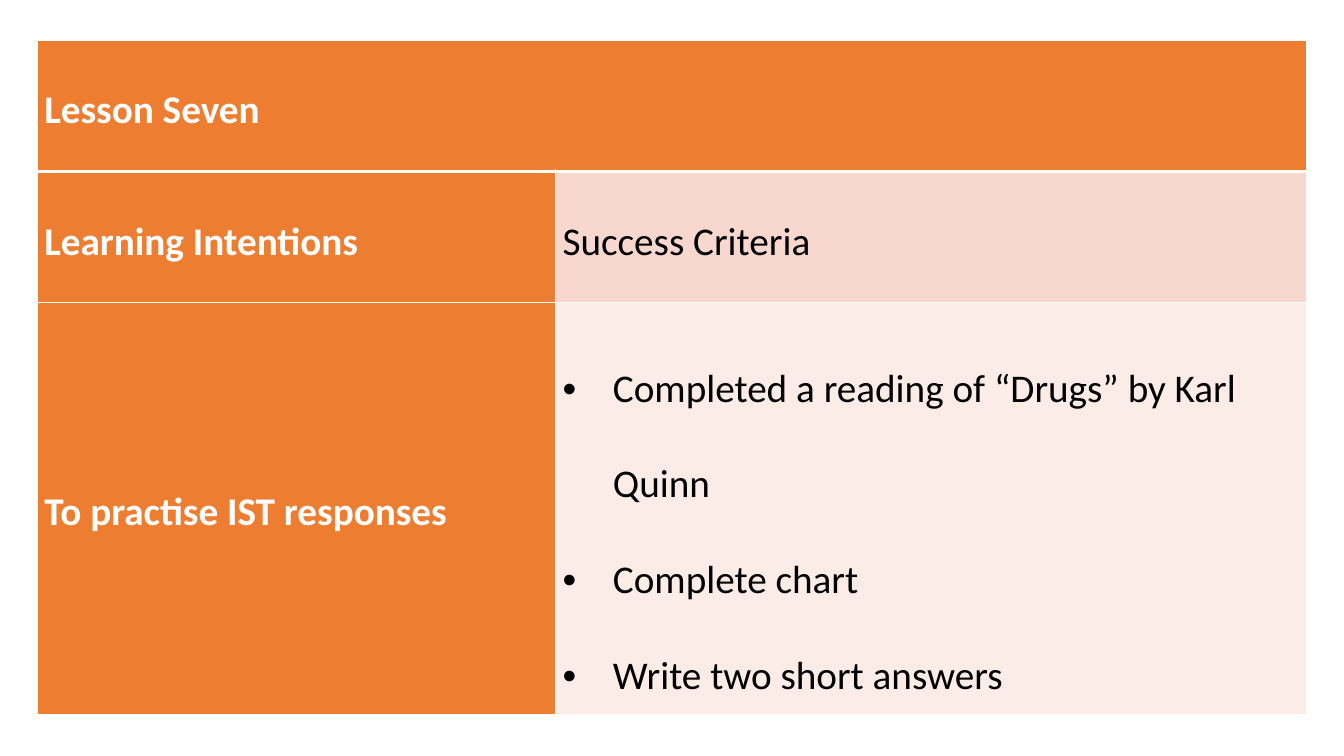
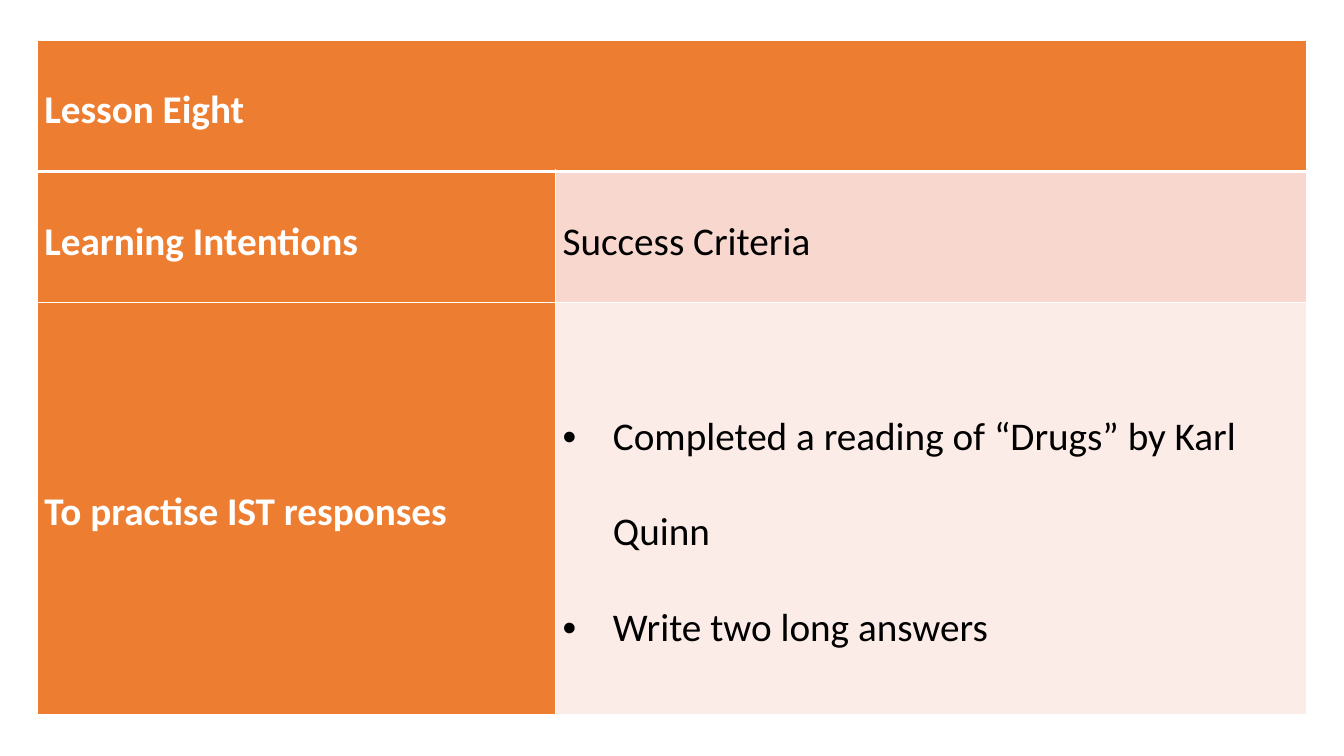
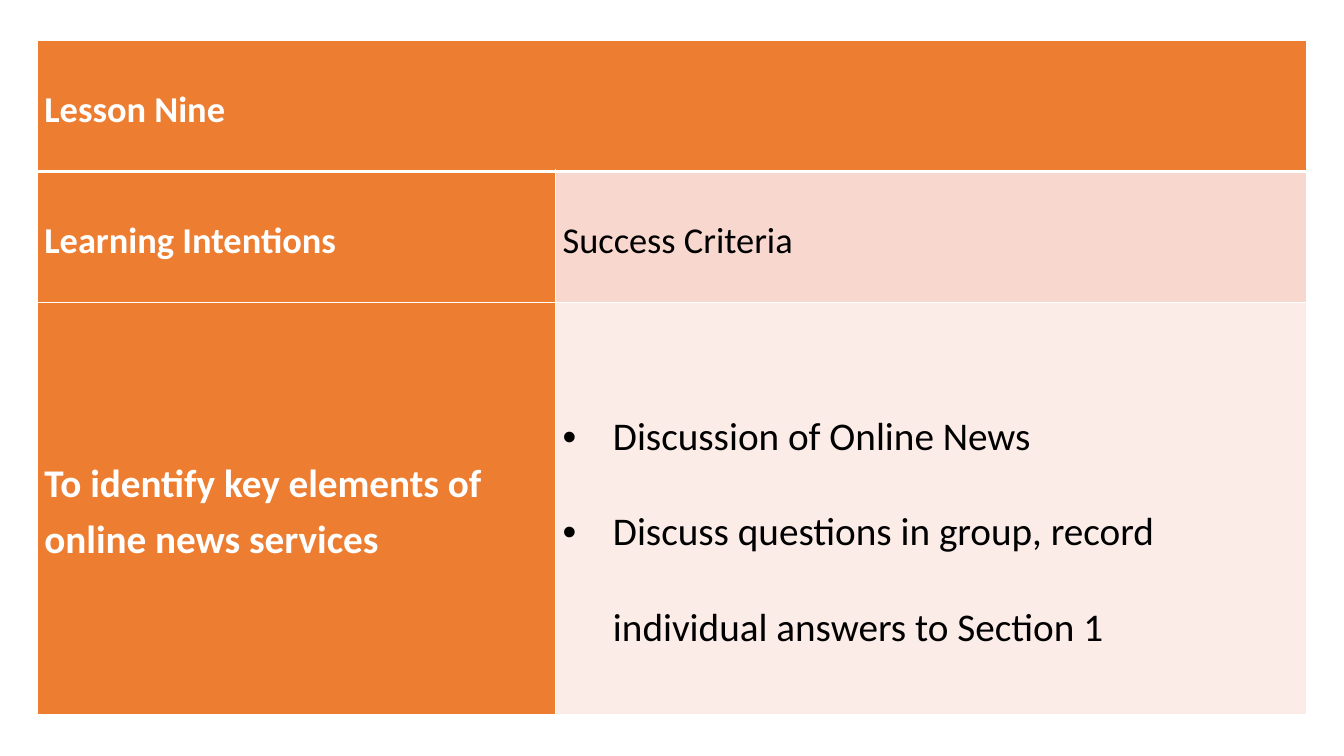
"""Build three lesson slides, each a table of intentions and success criteria."""
from lxml.etree import SubElement
from pptx import Presentation
from pptx.dml.color import RGBColor
from pptx.enum.text import MSO_ANCHOR
from pptx.oxml.ns import qn
from pptx.util import Inches, Pt

FONT = "Calibri"
WHITE, BLACK = "FFFFFF", "000000"
ORANGE, PEACH, PALE = "ED7D31", "F8D7CE", "FCECE8"
LEFT, TOP = 0.37, 0.4
COLUMNS = (5.14, 7.45)
ROWS = (1.3, 1.3, 4.09)
BODY_SIZE = 28
THIN, THICK = 1, 3

LESSONS = [
    {"title": "Lesson Seven", "heading_size": 28,
     "intention": "To practise IST responses",
     "criteria": ["Completed a reading of “Drugs” by Karl Quinn",
                  "Complete chart",
                  "Write two short answers"]},
    {"title": "Lesson Eight", "heading_size": 28,
     "intention": "To practise IST responses",
     "criteria": ["Completed a reading of “Drugs” by Karl Quinn",
                  "Write two long answers"]},
    {"title": "Lesson Nine", "heading_size": 26,
     "intention": "To identify key elements of online news services",
     "criteria": ["Discussion of Online News",
                  "Discuss questions in group, record individual answers to Section 1"]},
]


def color(value):
    return RGBColor.from_string(value)


def add_borders(cell, row):
    widths = {"L": THIN, "R": THIN,
              "T": THICK if row == 1 else THIN,
              "B": THICK if row == 0 else THIN}
    properties = cell._tc.get_or_add_tcPr()
    for side, width in widths.items():
        line = SubElement(properties, qn(f"a:ln{side}"), w=str(Pt(width)))
        fill = SubElement(line, qn("a:solidFill"))
        SubElement(fill, qn("a:srgbClr"), val=WHITE)


def style_cell(cell, row, fill):
    add_borders(cell, row)
    cell.fill.solid()
    cell.fill.fore_color.rgb = color(fill)
    cell.vertical_anchor = MSO_ANCHOR.MIDDLE
    cell.margin_left = cell.margin_right = Inches(0.07)
    cell.margin_top = cell.margin_bottom = 0


def add_bullet(para):
    properties = para._p.get_or_add_pPr()
    properties.set("marL", str(Inches(0.5)))
    properties.set("indent", str(Inches(-0.5)))
    SubElement(properties, qn("a:buFont"), typeface="Arial")
    SubElement(properties, qn("a:buChar"), char="•")


def write(cell, lines, size, spacing, emphasis, bulleted=False):
    frame = cell.text_frame
    for index, line in enumerate(lines):
        para = frame.add_paragraph() if index else frame.paragraphs[0]
        if bulleted:
            add_bullet(para)
        para.line_spacing = spacing
        para.space_after = Pt(0 if bulleted else 8)
        span = para.add_run()
        span.text = line
        span.font.name = FONT
        span.font.size = Pt(size)
        span.font.bold = emphasis
        span.font.color.rgb = color(WHITE if emphasis else BLACK)


def add_lesson(deck, lesson):
    page = deck.slides.add_slide(deck.slide_layouts[6])
    table = page.shapes.add_table(
        len(ROWS), len(COLUMNS), Inches(LEFT), Inches(TOP),
        Inches(sum(COLUMNS)), Inches(sum(ROWS))).table
    for column, width in zip(table.columns, COLUMNS):
        column.width = Inches(width)
    for row, height in zip(table.rows, ROWS):
        row.height = Inches(height)

    fills = [(ORANGE, ORANGE), (ORANGE, PEACH), (ORANGE, PALE)]
    for row, row_fills in enumerate(fills):
        for column, fill in enumerate(row_fills):
            style_cell(table.cell(row, column), row, fill)
    table.cell(0, 0).merge(table.cell(0, 1))

    heading_size = lesson["heading_size"]
    write(table.cell(0, 0), [lesson["title"]], heading_size, 1.2, True)
    write(table.cell(1, 0), ["Learning Intentions"], heading_size, 1.2, True)
    write(table.cell(1, 1), ["Success Criteria"], heading_size, 1.2, False)
    write(table.cell(2, 0), [lesson["intention"]], BODY_SIZE, 1.15, True)
    write(table.cell(2, 1), lesson["criteria"], BODY_SIZE, 2.0, False, bulleted=True)


def main():
    deck = Presentation()
    deck.slide_width, deck.slide_height = Inches(13.33), Inches(7.5)
    for lesson in LESSONS:
        add_lesson(deck, lesson)
    deck.save("out.pptx")


if __name__ == "__main__":
    main()
